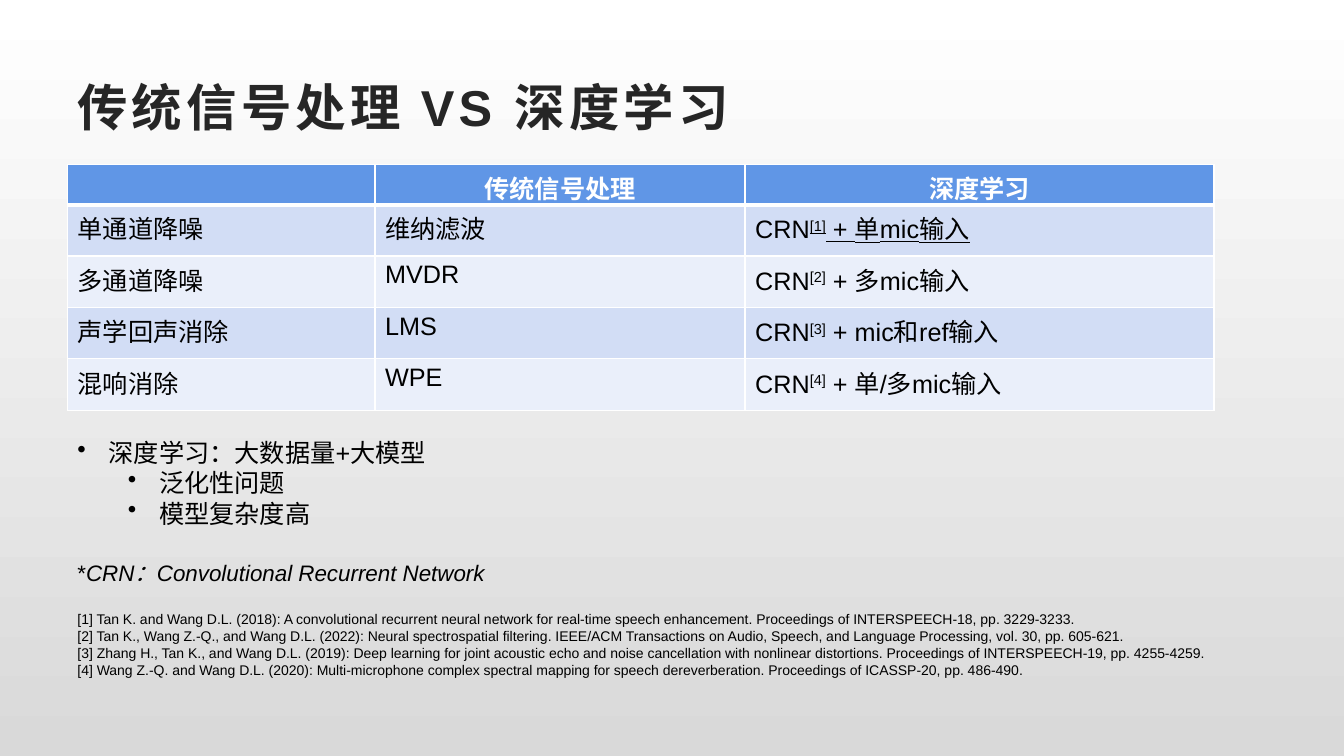
import dataclasses
import typing

import lxml.etree
import pptx
import pptx.dml.color
import pptx.enum.text
import pptx.oxml.ns
import pptx.util

Inches = pptx.util.Inches
Pt = pptx.util.Pt
RGBColor = pptx.dml.color.RGBColor
PP_ALIGN = pptx.enum.text.PP_ALIGN
MSO_ANCHOR = pptx.enum.text.MSO_ANCHOR
MSO_AUTO_SIZE = pptx.enum.text.MSO_AUTO_SIZE

BLACK = RGBColor(0x00, 0x00, 0x00)
WHITE = RGBColor(0xFF, 0xFF, 0xFF)
GRAY = RGBColor(0xD9, 0xD9, 0xD9)
TITLE_INK = RGBColor(0x26, 0x26, 0x26)
HEADER_BLUE = RGBColor(0x60, 0x96, 0xE6)
BAND_DARK = RGBColor(0xD2, 0xDD, 0xF5)
BAND_LIGHT = RGBColor(0xEA, 0xEF, 0xFA)

LEFT = 0.67
COLUMN_WIDTHS = (3.05, 3.67, 4.65)
ROW_HEIGHTS = (0.4, 0.51, 0.51, 0.51, 0.51)


@dataclasses.dataclass
class Run:
    text: str
    size: float = 18
    color: RGBColor = BLACK
    font: dict[str, typing.Any] = dataclasses.field(default_factory=dict)
    xml: dict[str, str] = dataclasses.field(default_factory=dict)


@dataclasses.dataclass
class Para:
    runs: list[Run]
    format: dict[str, typing.Any] = dataclasses.field(default_factory=dict)
    bullet_indent: float = 0


@dataclasses.dataclass
class TextBlock:
    top: float
    width: float
    height: float
    paras: list[Para]
    frame: dict[str, typing.Any] = dataclasses.field(default_factory=dict)


def set_all(target: typing.Any, values: dict[str, typing.Any]) -> None:
    for name, value in values.items():
        setattr(target, name, value)


def write(tf: typing.Any, paras: list[Para]) -> None:
    for i, para in enumerate(paras):
        p = tf.add_paragraph() if i else tf.paragraphs[0]
        if para.bullet_indent:
            pPr = p._p.get_or_add_pPr()
            pPr.set("marL", str(Inches(para.bullet_indent)))
            pPr.set("indent", str(-Inches(0.31)))
            bullet = lxml.etree.SubElement(pPr, pptx.oxml.ns.qn("a:buChar"))
            bullet.set("char", "•")
        set_all(p, para.format)
        for run in para.runs:
            r = p.add_run()
            r.text = run.text
            set_all(r.font, {"name": "Arial", "size": Pt(run.size), **run.font})
            r.font.color.rgb = run.color
            for name, value in run.xml.items():
                r._r.get_or_add_rPr().set(name, value)


def add_block(s: typing.Any, block: TextBlock) -> None:
    sp = s.shapes.add_textbox(
        Inches(LEFT), Inches(block.top), Inches(block.width), Inches(block.height)
    )
    tf = sp.text_frame
    set_all(tf, {"word_wrap": True, **block.frame})
    write(tf, block.paras)


def add_border(cell: typing.Any, side: str, width: float) -> None:
    ln = lxml.etree.SubElement(
        cell._tc.get_or_add_tcPr(), pptx.oxml.ns.qn(f"a:ln{side}"), w=str(Pt(width))
    )
    fill = lxml.etree.SubElement(ln, pptx.oxml.ns.qn("a:solidFill"))
    lxml.etree.SubElement(fill, pptx.oxml.ns.qn("a:srgbClr"), val=str(WHITE))


def add_comparison(s: typing.Any, rows: list[list[Para]]) -> None:
    table = s.shapes.add_table(
        len(rows), len(COLUMN_WIDTHS), Inches(LEFT), Inches(1.63),
        Inches(sum(COLUMN_WIDTHS)), Inches(sum(ROW_HEIGHTS)),
    ).table
    table.horz_banding = False
    for column, width in zip(table.columns, COLUMN_WIDTHS):
        column.width = Inches(width)
    for i, paras in enumerate(rows):
        table.rows[i].height = Inches(ROW_HEIGHTS[i])
        band = BAND_DARK if i % 2 else BAND_LIGHT
        for j, para in enumerate(paras):
            cell = table.cell(i, j)
            for side in "LRTB":
                thick = (i, side) in ((0, "B"), (1, "T"))
                add_border(cell, side, 3 if thick else 1)
            cell.fill.solid()
            cell.fill.fore_color.rgb = band if i else HEADER_BLUE
            write(cell.text_frame, [para])


def header(text: str) -> Para:
    runs = [Run(text, color=WHITE, font={"bold": True})] if text else []
    return Para(runs, {"alignment": PP_ALIGN.CENTER})


def method_row(number: int, task: str, classic: str, inputs: str) -> list[Para]:
    underline = {"underline": True} if number == 1 else {}
    crn = [
        Run("CRN"),
        Run(f"[{number}]", font=underline, xml={"baseline": "30000"}),
        Run(f" + {inputs}", font=underline),
    ]
    return [Para([Run(task)]), Para([Run(classic)]), Para(crn)]


METHODS = [
    ("单通道降噪", "维纳滤波", "单mic输入"),
    ("多通道降噪", "MVDR", "多mic输入"),
    ("声学回声消除", "LMS", "mic和ref输入"),
    ("混响消除", "WPE", "单/多mic输入"),
]
REFERENCES = [
    "[1] Tan K. and Wang D.L. (2018): A convolutional recurrent neural network for real-time speech enhancement. Proceedings of INTERSPEECH-18, pp. 3229-3233.",
    "[2] Tan K., Wang Z.-Q., and Wang D.L. (2022): Neural spectrospatial filtering. IEEE/ACM Transactions on Audio, Speech, and Language Processing, vol. 30, pp. 605-621.",
    "[3] Zhang H., Tan K., and Wang D.L. (2019): Deep learning for joint acoustic echo and noise cancellation with nonlinear distortions. Proceedings of INTERSPEECH-19, pp. 4255-4259.",
    "[4] Wang Z.-Q. and Wang D.L. (2020): Multi-microphone complex spectral mapping for speech dereverberation. Proceedings of ICASSP-20, pp. 486-490.",
]
TITLE = TextBlock(
    0.67, 12, 0.77,
    [Para([Run("传统信号处理 VS 深度学习", 36, TITLE_INK, {"bold": True}, {"spc": "300"})])],
    {"vertical_anchor": MSO_ANCHOR.MIDDLE},
)
CITATIONS = TextBlock(
    6.01, 11.84, 0.77,
    [Para([Run(text, 10)], {"alignment": PP_ALIGN.JUSTIFY}) for text in REFERENCES],
    {"auto_size": MSO_AUTO_SIZE.SHAPE_TO_FIT_TEXT},
)
REMARKS = TextBlock(
    4.29, 8.4, 1.73,
    [
        Para([Run("深度学习：大数据量+大模型")], bullet_indent=0.31),
        Para([Run("泛化性问题")], {"level": 1}, 0.81),
        Para([Run("模型复杂度高")], {"level": 1}, 0.81),
        Para(
            [
                Run("*", 16),
                Run("CRN：Convolutional Recurrent Network", 16, font={"italic": True}),
            ],
            {"space_before": Pt(22)},
        ),
    ],
)


def main() -> None:
    prs = pptx.Presentation()
    set_all(prs, {"slide_width": Inches(13.33), "slide_height": Inches(7.5)})
    s = prs.slides.add_slide(prs.slide_layouts[6])
    fill = s.background.fill
    fill.gradient()
    fill.gradient_angle = 270
    for stop, color, position in zip(fill.gradient_stops, (WHITE, GRAY), (0, 1)):
        stop.color.rgb = color
        stop.position = position
    add_block(s, TITLE)
    headers = [header(text) for text in ("", "传统信号处理", "深度学习")]
    methods = [method_row(n, *method) for n, method in enumerate(METHODS, 1)]
    add_comparison(s, [headers, *methods])
    for block in (CITATIONS, REMARKS):
        add_block(s, block)
    prs.save("out.pptx")


if __name__ == "__main__":
    main()
